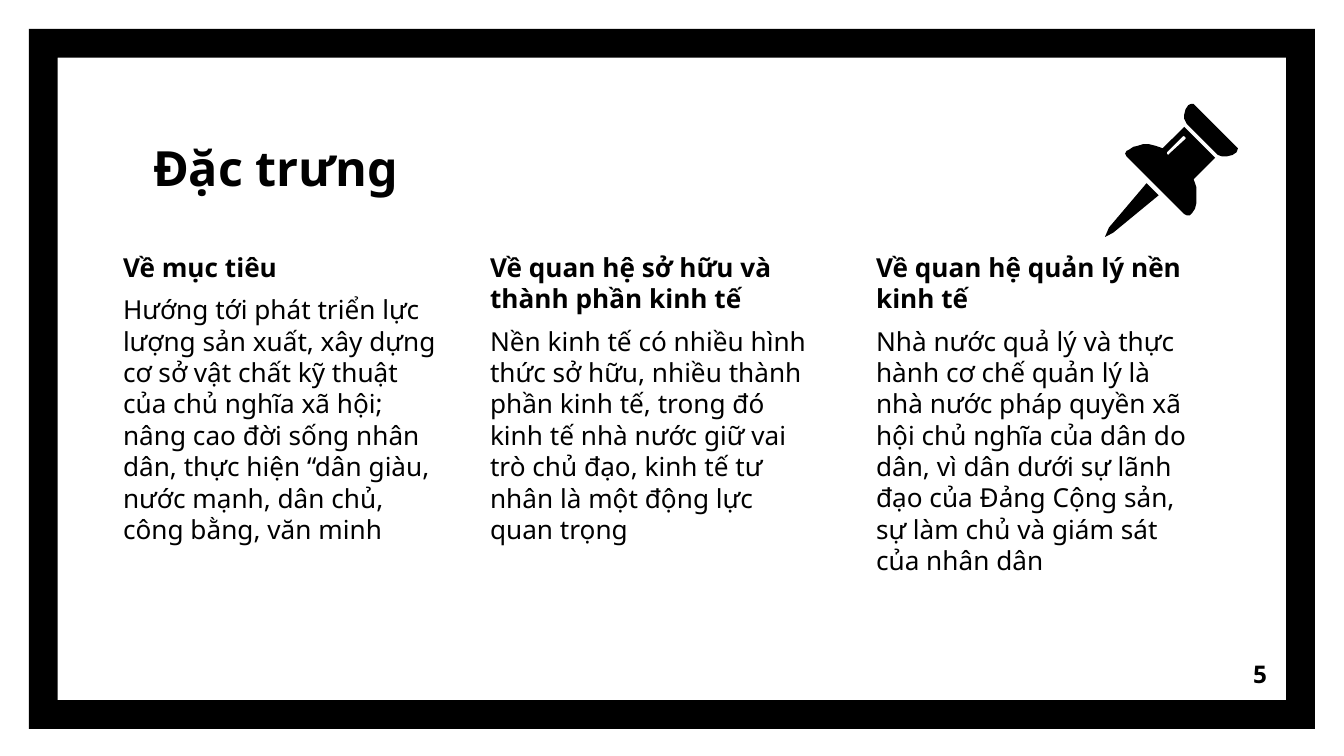
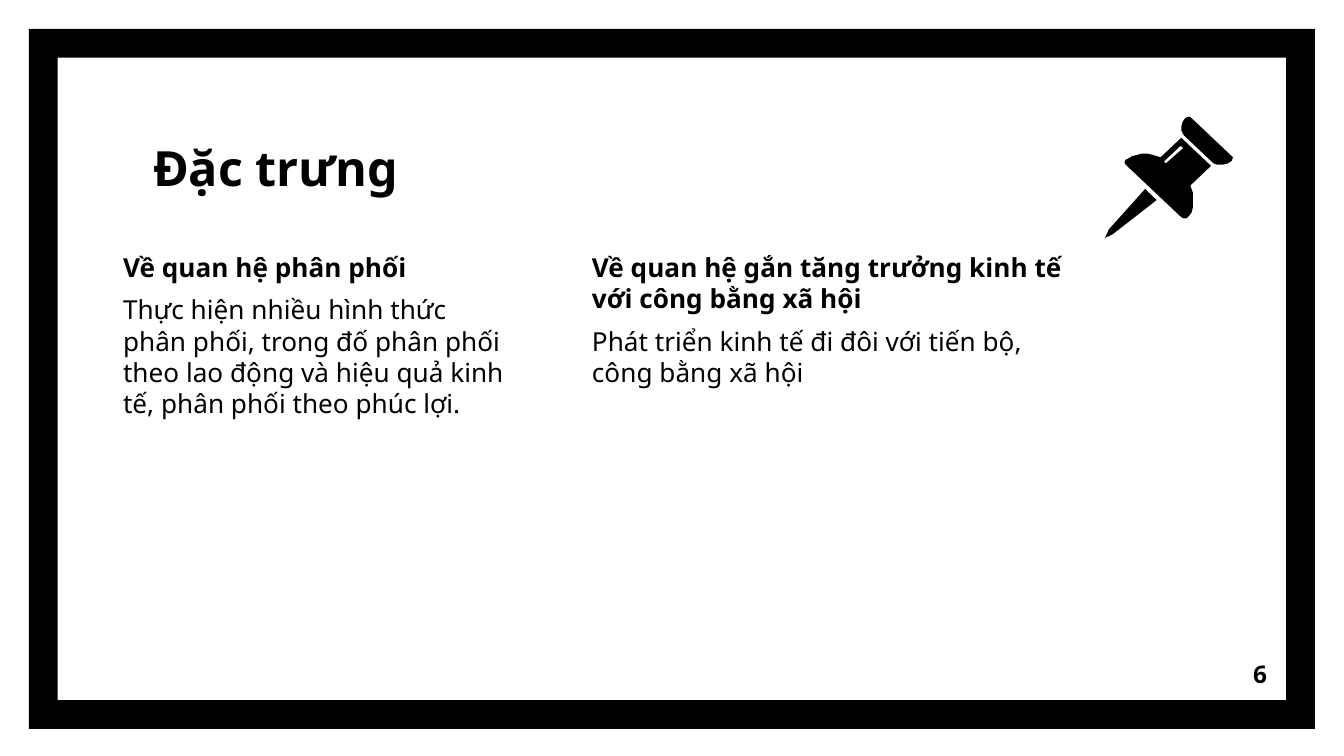
from pptx import Presentation
from pptx.dml.color import RGBColor
from pptx.enum.shapes import MSO_SHAPE
from pptx.enum.text import MSO_ANCHOR, PP_ALIGN
from pptx.util import Emu, Pt

EMU_PER_PX = 914400 / 134.4
COLORS = {"ink": "000000", "paper": "FFFFFF"}
FONT = "Noto Sans"
TITLE = "Đặc trưng"
INSET = 13
COLUMN_TOP = 238

# Each part of the pin is a list of contours on a square grid of PIN_GRID units.
PIN_GRID = 99
PIN_NEEDLE = [[(31, 59), (3, 92), (0, 99), (6, 96), (40, 68)]]
PIN_CAP = [[
    (64, 0), (62, 1), (60, 4), (59, 8), (59, 11), (61, 15), (84, 38), (87, 39),
    (91, 39), (95, 38), (98, 36), (99, 33), (98, 32), (67, 1), (66, 0),
]]
PIN_BODY = [
    [(59, 24), (60, 25), (60, 26), (48, 37), (47, 38), (46, 37), (46, 36), (58, 24)],
    [
        (59, 17), (43, 33), (40, 32), (37, 31), (33, 30), (28, 30), (25, 31), (21, 32),
        (18, 34), (16, 35), (15, 37), (16, 39), (59, 82), (61, 83), (63, 83), (65, 81),
        (67, 78), (68, 74), (68, 62), (67, 59), (66, 56), (82, 40),
    ],
]

SLIDES = [
    {
        "number": 5,
        "pin": (1105, 104, 133, 133),
        "columns": [
            (110, 348, 337, "Về mục tiêu",
             "Hướng tới phát triển lực lượng sản xuất, xây dựng cơ sở vật chất kỹ thuật "
             "của chủ nghĩa xã hội; nâng cao đời sống nhân dân, thực hiện “dân giàu, "
             "nước mạnh, dân chủ, công bằng, văn minh"),
            (477, 348, 337, "Về quan hệ sở hữu và thành phần kinh tế",
             "Nền kinh tế có nhiều hình thức sở hữu, nhiều thành phần kinh tế, trong đó "
             "kinh tế nhà nước giữ vai trò chủ đạo, kinh tế tư nhân là một động lực "
             "quan trọng"),
            (863, 348, 376, "Về quan hệ quản lý nền kinh tế",
             "Nhà nước quả lý và thực hành cơ chế quản lý là nhà nước pháp quyền xã hội "
             "chủ nghĩa của dân do dân, vì dân dưới sự lãnh đạo của Đảng Cộng sản, "
             "sự làm chủ và giám sát của nhân dân"),
        ],
    },
    {
        "number": 6,
        "pin": (1105, 117, 128, 121),
        "columns": [
            (110, 413, 337, "Về quan hệ phân phối",
             "Thực hiện nhiều hình thức phân phối, trong đố phân phối theo lao động và "
             "hiệu quả kinh tế, phân phối theo phúc lợi."),
            (579, 512, 337, "Về quan hệ gắn tăng trưởng kinh tế với công bằng xã hội",
             "Phát triển kinh tế đi đôi với tiến bộ, công bằng xã hội"),
        ],
    },
]


def px(length):
    return Emu(round(length * EMU_PER_PX))


def color(name):
    return RGBColor.from_string(COLORS[name])


def paint(shape):
    """Give a shape a plain ink fill without line or shadow."""
    shape.shadow.inherit = False
    shape.fill.solid()
    shape.fill.fore_color.rgb = color("ink")
    shape.line.fill.background()


def add_text(slide, box, anchor=MSO_ANCHOR.TOP):
    """Add an empty wrapping text box and return its text frame."""
    frame = slide.shapes.add_textbox(*map(px, box)).text_frame
    frame.word_wrap = True
    frame.vertical_anchor = anchor
    frame.margin_left = frame.margin_right = px(INSET)
    frame.margin_top = frame.margin_bottom = px(INSET)
    return frame


def write(paragraph, text, size, bold=True):
    paragraph.text = text
    font = paragraph.font
    font.name = FONT
    font.size = Pt(size)
    font.bold = bold
    font.color.rgb = color("ink")


def add_border(slide):
    border = slide.shapes.add_shape(MSO_SHAPE.FRAME, px(29), px(29), px(1286), px(700))
    border.adjustments[0] = 0.041
    paint(border)


def add_title(slide, text):
    frame = add_text(slide, (140, 128, 286, 81), MSO_ANCHOR.BOTTOM)
    write(frame.paragraphs[0], text, 26)


def add_column(slide, left, width, height, heading, body):
    frame = add_text(slide, (left, COLUMN_TOP, width, height))
    write(frame.paragraphs[0], heading, 14)
    paragraph = frame.add_paragraph()
    paragraph.space_before = Pt(6)
    write(paragraph, body, 14, bold=False)


def add_outline(slide, contours, left, top, scale):
    first, *others = contours
    builder = slide.shapes.build_freeform(*first[0], scale=scale)
    builder.add_line_segments(first[1:])
    for contour in others:
        builder.move_to(*contour[0])
        builder.add_line_segments(contour[1:])
    shape = builder.convert_to_shape(px(left), px(top))
    paint(shape)
    return shape


def add_pin(slide, left, top, width, height):
    scale = (px(width) / PIN_GRID, px(height) / PIN_GRID)
    parts = [
        add_outline(slide, contours, left, top, scale)
        for contours in (PIN_NEEDLE, PIN_CAP, PIN_BODY)
    ]
    slide.shapes.add_group_shape(parts)


def add_page_number(slide, number):
    frame = add_text(slide, (1199, 645, 81, 58), MSO_ANCHOR.MIDDLE)
    write(frame.paragraphs[0], str(number), 13)
    frame.paragraphs[0].alignment = PP_ALIGN.RIGHT


def main():
    presentation = Presentation()
    presentation.slide_width = px(1344)
    presentation.slide_height = px(756)
    for content in SLIDES:
        slide = presentation.slides.add_slide(presentation.slide_layouts[6])
        slide.background.fill.solid()
        slide.background.fill.fore_color.rgb = color("paper")
        add_border(slide)
        add_title(slide, TITLE)
        for column in content["columns"]:
            add_column(slide, *column)
        add_pin(slide, *content["pin"])
        add_page_number(slide, content["number"])
    presentation.save("out.pptx")


if __name__ == "__main__":
    main()
